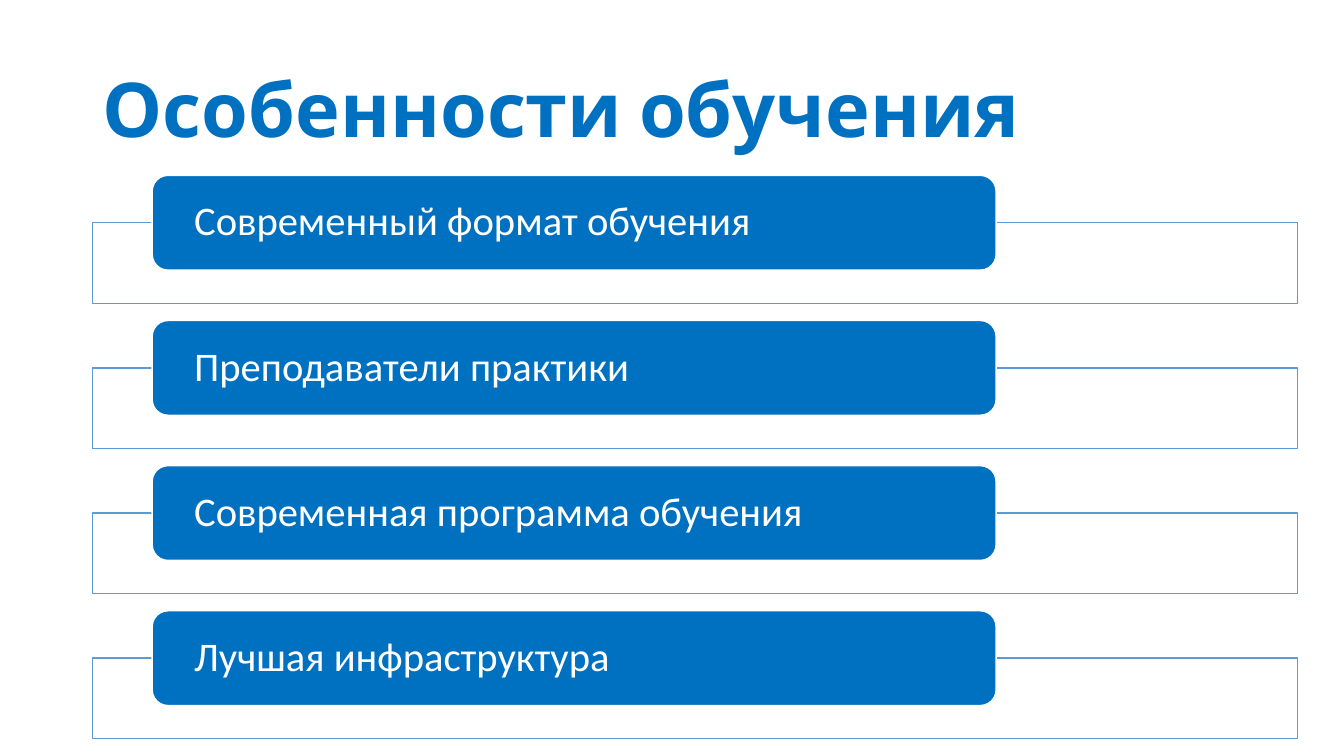
from dataclasses import dataclass

from lxml.etree import SubElement
from pptx import Presentation
from pptx.dml.color import RGBColor
from pptx.enum.shapes import MSO_SHAPE
from pptx.enum.text import MSO_ANCHOR, PP_ALIGN
from pptx.oxml.ns import qn
from pptx.shapes.autoshape import Shape
from pptx.slide import Slide
from pptx.util import Pt

EMU_PER_PX = 9144


@dataclass(frozen=True)
class Theme:
    """Colours, fonts and type sizes of the slide."""
    accent: RGBColor = RGBColor(0x00, 0x70, 0xC0)
    outline: RGBColor = RGBColor(0x5B, 0x9B, 0xD5)
    white: RGBColor = RGBColor(0xFF, 0xFF, 0xFF)
    title_font: str = "Cabin"
    body_font: str = "Calibri"
    title_size: int = 54
    body_size: int = 29


@dataclass(frozen=True)
class Box:
    """A rectangle in px, 100 to the inch."""
    left: int
    top: int
    width: int
    height: int

    def emu(self) -> tuple[int, ...]:
        """Return the four lengths in EMU."""
        return tuple(px * EMU_PER_PX
                     for px in (self.left, self.top, self.width, self.height))


@dataclass(frozen=True)
class Feature:
    """One feature of the training and the top of its label."""
    label: str
    top: int


THEME = Theme()
FIRST_TOP, PITCH = 174, 144
LABELS = (
    "Современный формат обучения",
    "Преподаватели практики",
    "Современная программа обучения",
    "Лучшая инфраструктура",
)
FEATURES = [Feature(label, FIRST_TOP + row * PITCH)
            for row, label in enumerate(LABELS)]


def write_text(target: Shape, text: str, *, font: str, size: int,
               color: RGBColor, bold: bool = False, inset: int = 10) -> None:
    """Write one left-aligned, vertically centred paragraph."""
    frame = target.text_frame
    frame.word_wrap = True
    frame.vertical_anchor = MSO_ANCHOR.MIDDLE
    frame.margin_left = frame.margin_right = inset * EMU_PER_PX
    paragraph = frame.paragraphs[0]
    paragraph.alignment = PP_ALIGN.LEFT
    paragraph.line_spacing = 0.9
    run = paragraph.add_run()
    run.text = text
    run.font.name = font
    run.font.size = Pt(size)
    run.font.bold = bold
    run.font.color.rgb = color


def draw_shape(slide: Slide, kind: MSO_SHAPE, box: Box, fill: RGBColor,
               line: RGBColor, opacity: int = 100) -> Shape:
    """Draw a filled, outlined preset shape with the given opacity."""
    panel = slide.shapes.add_shape(kind, *box.emu())
    panel.shadow.inherit = False
    panel.fill.solid()
    panel.fill.fore_color.rgb = fill
    panel.line.color.rgb = line
    panel.line.width = Pt(1)
    if opacity < 100:
        color = panel.fill._xPr.find(qn("a:solidFill"))[0]
        SubElement(color, qn("a:alpha"), val=str(opacity * 1000))
    return panel


def draw_feature(slide: Slide, feature: Feature) -> None:
    """Draw a feature's frame with its label overlapping the top edge."""
    draw_shape(slide, MSO_SHAPE.RECTANGLE, Box(92, feature.top + 47, 1195, 80),
               THEME.white, THEME.outline, opacity=90)
    label = draw_shape(slide, MSO_SHAPE.ROUNDED_RECTANGLE,
                       Box(151, feature.top, 837, 94),
                       THEME.accent, THEME.white)
    write_text(label, feature.label, font=THEME.body_font,
               size=THEME.body_size, color=THEME.white, inset=37)


def main() -> None:
    """Build and save the slide."""
    deck = Presentation()
    deck.slide_width, deck.slide_height = 1333 * EMU_PER_PX, 750 * EMU_PER_PX
    slide = deck.slides.add_slide(deck.slide_layouts[6])
    title = slide.shapes.add_textbox(*Box(92, 40, 1150, 145).emu())
    write_text(title, "Особенности обучения", font=THEME.title_font,
               size=THEME.title_size, color=THEME.accent, bold=True)
    for feature in FEATURES:
        draw_feature(slide, feature)
    deck.save("out.pptx")


if __name__ == "__main__":
    main()
